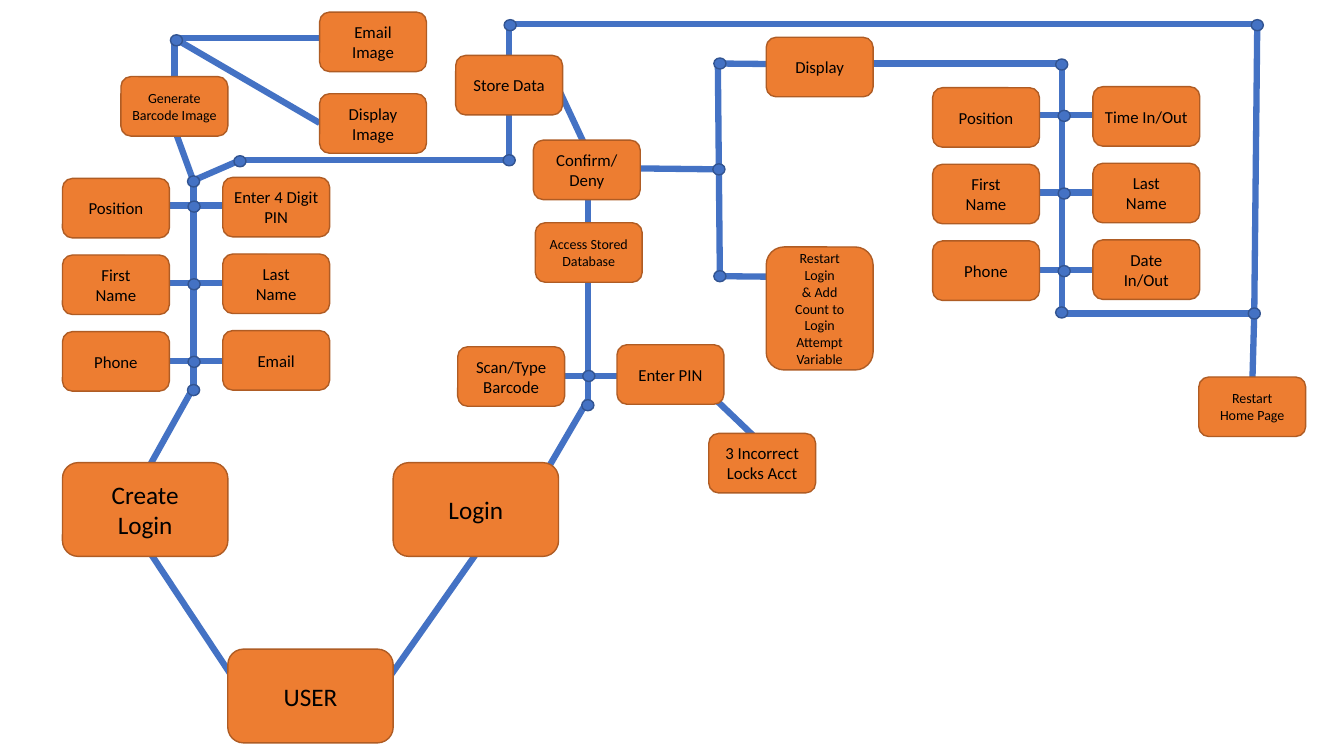
"""Draw a flowchart of barcode login, account creation and stored time records."""
from itertools import pairwise

from lxml import etree
from pptx import Presentation
from pptx import util as u
from pptx.dml.color import RGBColor
from pptx.enum import shapes, text
from pptx.oxml.ns import qn


def color(value):
    """Turn a hex string into a colour."""
    return RGBColor.from_string(value)


def assign(target, values):
    """Set attributes of an object from a dict."""
    for name, value in values.items():
        setattr(target, name, value)


class Flowchart:
    """Hold the style, the current slide and its grid of tenths of an inch."""

    CELL = u.Inches(0.1)
    BLUE, DARK_BLUE = "4472C4", "325491"
    ORANGE, DARK_ORANGE = "ED7D31", "AF5C24"
    SMALL, LARGE, TALL = (10.6, 5.9), (16.4, 9.3), (10.6, 12.2)
    DOT = (1.2, 1.1)
    NARROW = 1.7

    def __init__(self, presentation):
        """Add a blank slide."""
        self.slide = presentation.slides.add_slide(presentation.slide_layouts[6])

    def cells(self, *lengths):
        """Convert columns and rows to slide lengths."""
        return [round(length * self.CELL) for length in lengths]

    def shape(self, kind, left, top, size, fill, outline):
        """Add a filled and outlined preset shape."""
        shape = self.slide.shapes.add_shape(kind, *self.cells(left, top, *size))
        shape.shadow.inherit = False
        shape.fill.solid()
        shape.fill.fore_color.rgb = color(fill)
        shape.line.color.rgb = color(outline)
        shape.line.width = u.Pt(1)
        return shape

    def box(self, label, left, top, points=12, size=SMALL, margin=0.6):
        """Add a rounded step with centred text."""
        shape = self.shape(shapes.MSO_SHAPE.ROUNDED_RECTANGLE, left, top, size,
                           self.ORANGE, self.DARK_ORANGE)
        frame = shape.text_frame
        side, = self.cells(margin)
        assign(frame, {"text": label, "word_wrap": True,
                       "vertical_anchor": text.MSO_ANCHOR.MIDDLE,
                       "margin_left": side, "margin_right": side,
                       "margin_top": 0, "margin_bottom": 0})
        for paragraph in frame.paragraphs:
            paragraph.alignment = text.PP_ALIGN.CENTER
            assign(paragraph.font, {"name": "Calibri", "size": u.Pt(points)})
            paragraph.font.color.rgb = color("000000")

    def dot(self, x, y):
        """Add a junction centred on a point."""
        width, height = self.DOT
        self.shape(shapes.MSO_SHAPE.OVAL, x - width / 2, y - height / 2, self.DOT,
                   self.BLUE, self.DARK_BLUE)

    def link(self, *points):
        """Join successive points with straight lines."""
        for start, end in pairwise(points):
            line = self.slide.shapes.add_connector(
                shapes.MSO_CONNECTOR.STRAIGHT, *self.cells(*start, *end))
            line.line.color.rgb = color(self.BLUE)
            line.line.width = u.Pt(4.5)
            etree.SubElement(line._element.spPr, qn("a:effectLst"))

    def fields(self, left, top, rows):
        """Add pairs of field boxes joined across a spine."""
        spine = left + 13.05
        for row, pair in enumerate(rows):
            box_top = top + 7.6 * row
            rung = top + 2.7 + 7.7 * row
            self.link((left + 9, rung), (left + 17, rung))
            for column, label in enumerate(pair):
                narrow = label in ("First Name", "Last Name", "Date In/Out")
                self.box(label, left + 15.9 * column, box_top - 0.1 * column,
                         margin=self.NARROW if narrow else 0.6)
            self.dot(spine, rung + 0.1)


presentation = Presentation()
presentation.slide_width, presentation.slide_height = u.Inches(13.33), u.Inches(7.5)
chart = Flowchart(presentation)

LINKS = [
    [(24.4, 69.2), (14.4, 54.1)],
    [(14.4, 47), (19.2, 38.4), (19.2, 18), (17.3, 12.8)],
    [(19.2, 17.9), (23.8, 15.9), (50.5, 15.9), (50.5, 2.4), (124.7, 2.4),
     (124.4, 31.1), (124.2, 38.4)],
    [(17.3, 8.4), (17.3, 3.8), (31.7, 3.8)],
    [(17.3, 3.8), (31.7, 12.2)],
    [(37.2, 69.2), (48.1, 53.7)],
    [(53.8, 47.4), (58.3, 39.7), (58.3, 19.2)],
    [(54.2, 37.3), (63, 37.3)],
    [(70.1, 38.8), (74.8, 43.3)],
    [(58.2, 14.8), (55.2, 8.4)],
    [(62.4, 16.7), (71.2, 16.8)],
    [(80.9, 6.4), (71.2, 6.3), (71.4, 27.4), (81.1, 27.5)],
    [(86, 6.3), (105.3, 6.3), (105.3, 31.1), (124.8, 31.1)],
]
for points in LINKS:
    chart.link(*points)

chart.fields(6.2, 17.7, [("Position", "Enter 4 Digit PIN"),
                         ("First Name", "Last Name"), ("Phone", "Email")])
chart.fields(92.5, 8.7, [("Position", "Time In/Out"),
                         ("First Name", "Last Name"), ("Phone", "Date In/Out")])

for label, left, top in [("USER", 22.6, 64.4), ("Create Login", 6.2, 45.9),
                         ("Login", 39, 45.9)]:
    chart.box(label, left, top, 18, chart.LARGE, 3)

for label, left, top in [("Display Image", 31.7, 9.3), ("Store Data", 45.2, 5.5),
                         ("Confirm/Deny", 52.9, 13.9), ("Enter PIN", 61.2, 34.2),
                         ("Scan/Type Barcode", 45.4, 34.4), ("Display", 76, 3.7),
                         ("3 Incorrect Locks Acct", 70.3, 43)]:
    chart.box(label, left, top)

for label, left, top in [("Generate Barcode Image", 12, 7.6),
                         ("Access Stored Database", 53.1, 22.1)]:
    chart.box(label, left, top, 10)

chart.box("Email Image", 31.7, 1.2, margin=chart.NARROW)
chart.box("Restart Home Page", 118.9, 37.4, 10, margin=chart.NARROW)
chart.box("Restart Login\n& Add Count to Login Attempt Variable", 76, 24.5, 10,
          chart.TALL, 1.2)

JUNCTIONS = [(17.5, 4), (19.2, 18), (19.2, 38.7), (23.8, 16), (50.5, 15.9),
             (50.6, 2.5), (124.7, 2.5), (124.4, 31.1), (58.4, 37.3), (58.3, 40.2),
             (71.4, 6.3), (71.3, 16.8), (71.4, 27.4), (105.3, 6.4), (105.3, 31)]
for x, y in JUNCTIONS:
    chart.dot(x, y)

presentation.save("out.pptx")
